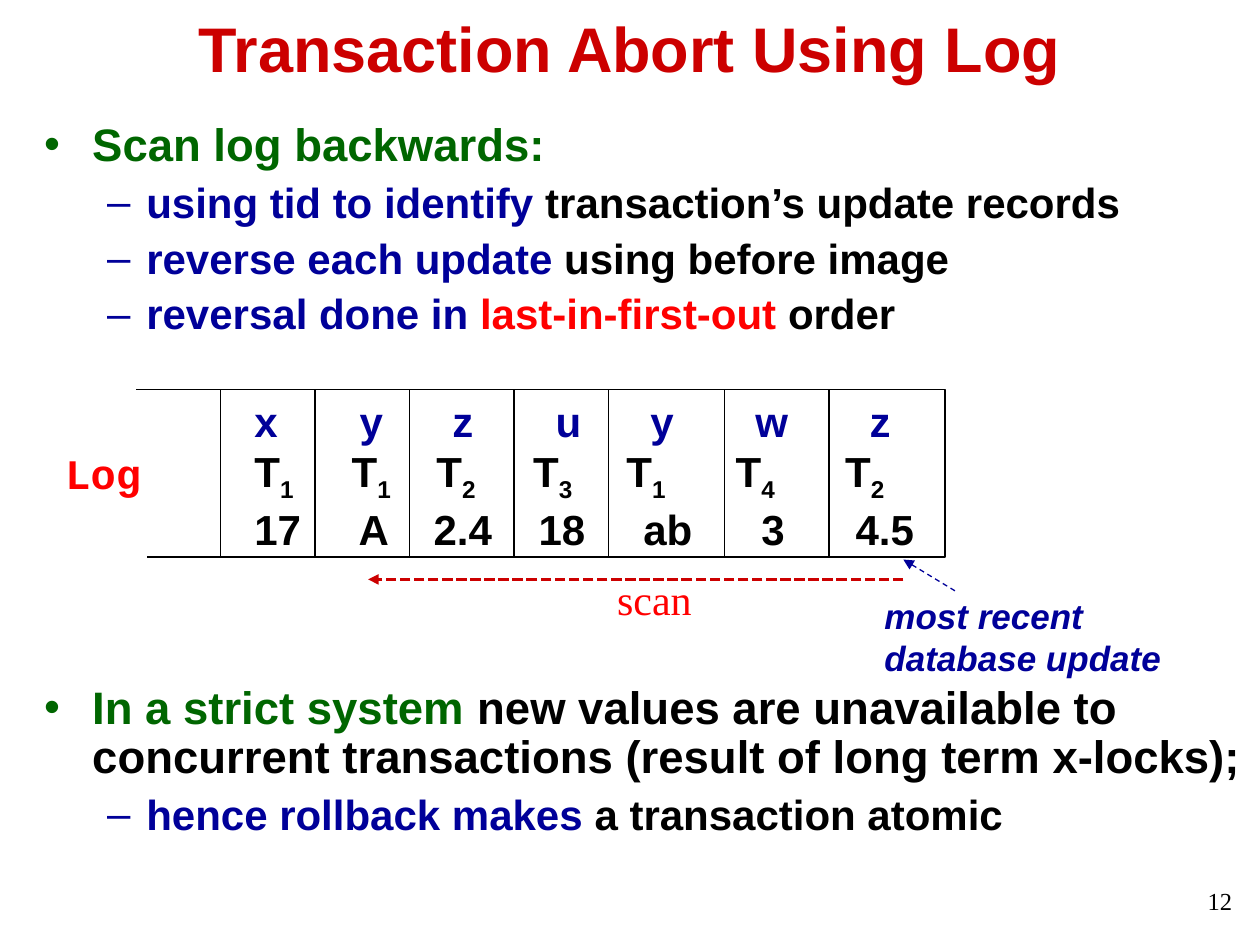
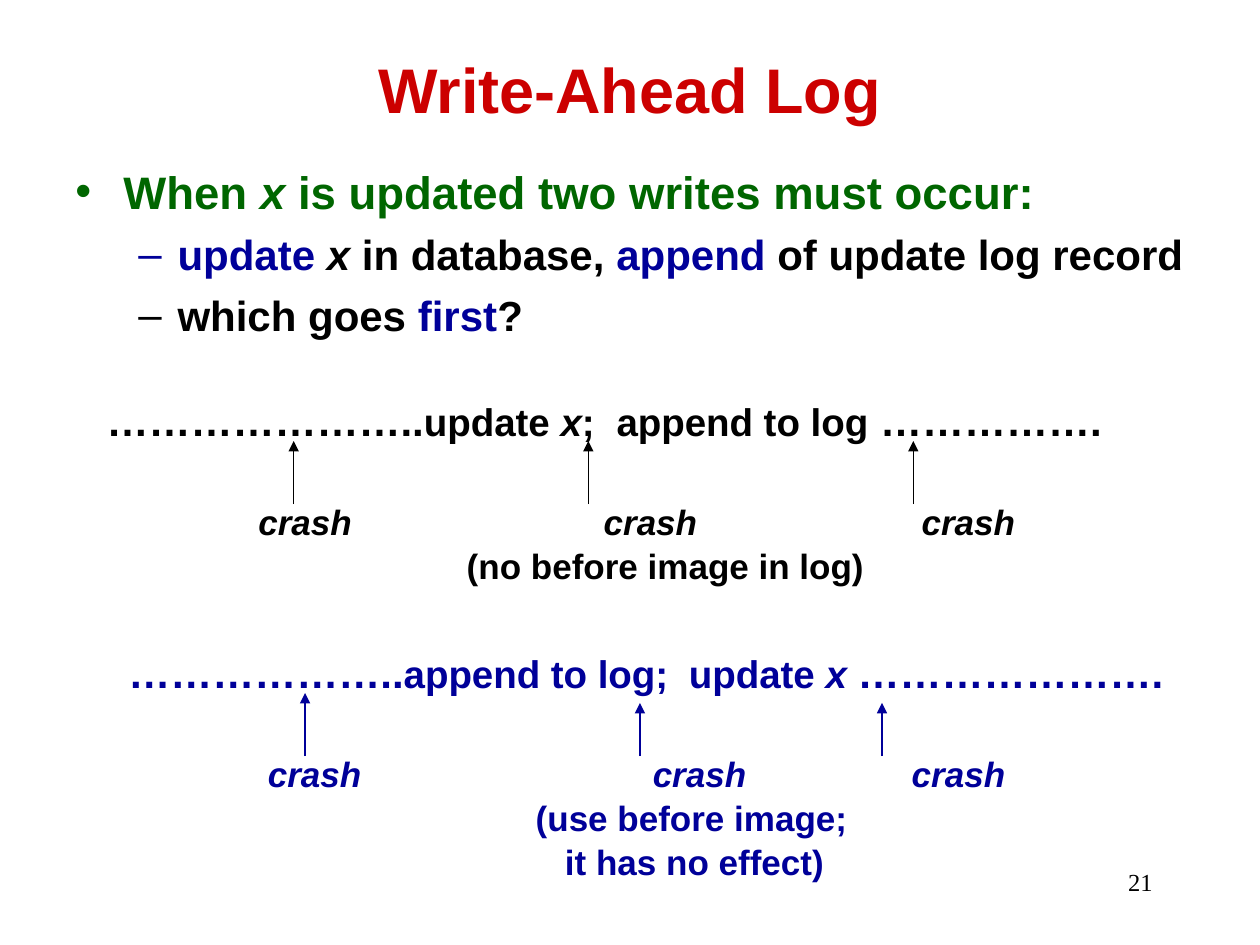
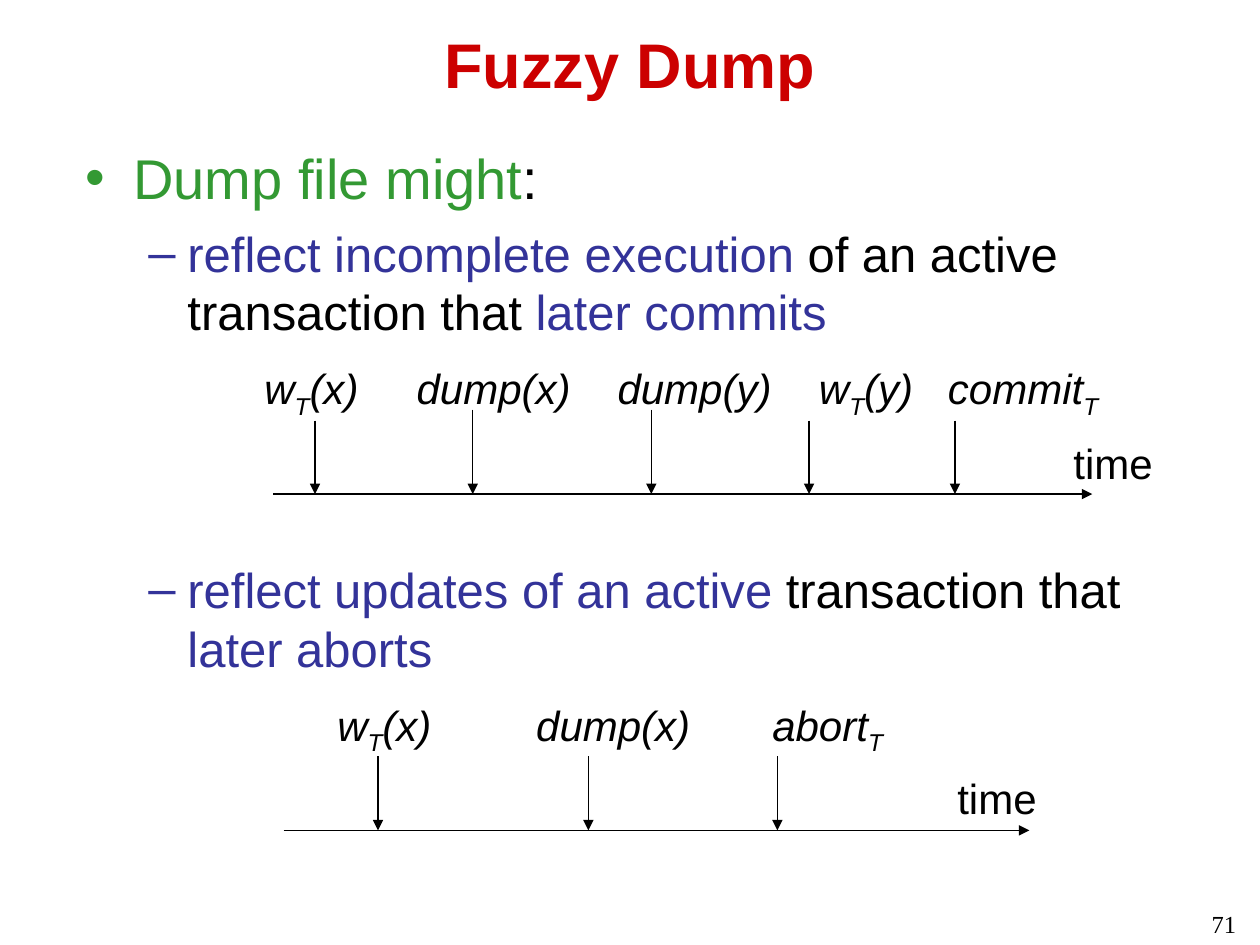
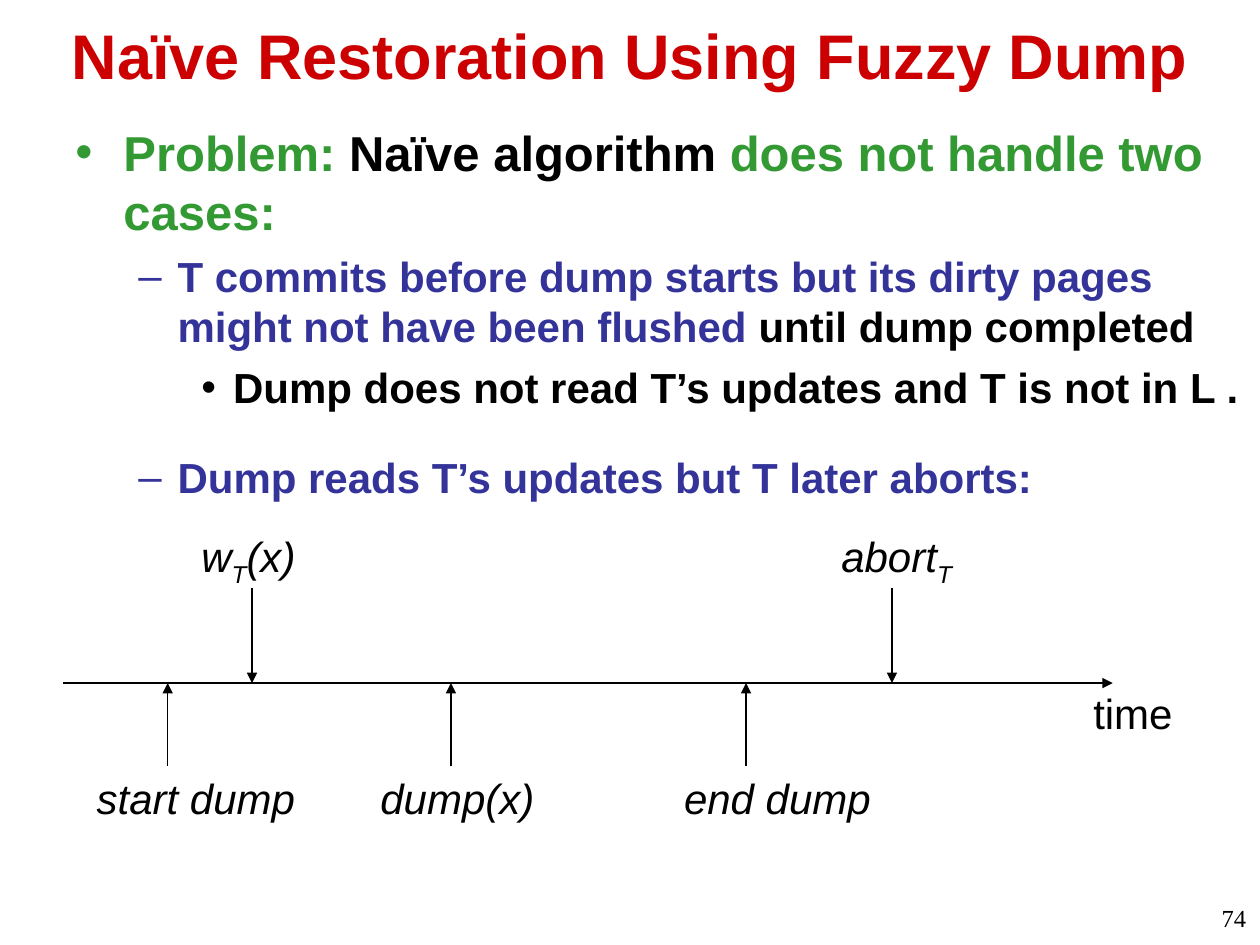
"""Build four slides on logging, aborts and fuzzy dumps."""
from dataclasses import dataclass
from lxml.etree import SubElement as Sub
from pptx import Presentation
from pptx.dml.color import RGBColor as Rgb
from pptx.enum.dml import MSO_LINE as Dash
from pptx.enum.shapes import MSO_CONNECTOR as Conn, MSO_SHAPE as Shape
from pptx.enum.text import MSO_ANCHOR as Anchor, MSO_AUTO_SIZE as Fit, PP_ALIGN as Align
from pptx.oxml.ns import qn
from pptx.util import Cm, Pt


@dataclass(frozen=True)
class Theme:
    sans: str = "Arial"
    serif: str = "Times New Roman"
    mono: str = "Courier New"
    title: str = "CC0000"
    black: str = "000000"
    white: str = "FFFFFF"
    red: str = "FF0000"
    green: str = "006600"
    navy: str = "000099"
    leaf: str = "339933"
    blue: str = "333399"
    head: int = 36
    big: int = 32
    large: int = 28
    lead: int = 26
    base: int = 24
    mid: int = 22
    small: int = 20
    page: int = 14
    thin: float = 0.75
    thick: float = 2


@dataclass
class Par:
    runs: list
    size: float = 24
    style: str = ""
    lvl: int = None
    gap: float = None
    tabs: tuple = ()
    font: str = "Arial"
    align: Align = None
    pitch: float = None


T = Theme()
K, N, G, L, B = T.black, T.navy, T.green, T.leaf, T.blue
BULLETS = [("•", 0.97, 0.97), ("–", 2.06, 0.79), ("•", 3.18, 0.64)]

HEADS = [
    ("Transaction Abort Using Log", (1.9, 0.2, 21.59, 1.5), "12", (19.81, 17.73, 5.28, 1.27)),
    ("Write-Ahead Log", (1.9, 0.2, 21.59, 3.18), "21", (18.21, 17.35, 5.28, 1.27)),
    ("Fuzzy Dump", (1.9, 0.23, 21.59, 2.11), "71", (19.89, 18.21, 5.28, 0.84)),
    ("Naïve Restoration Using Fuzzy Dump", (0, -0.2, 25.4, 2.57), "74", (20.09, 18.08, 5.28, 0.97)),
]

BODIES = [
    ((0.64, 2.34, 24.76, 14.81), [
        Par([("Scan log backwards:", G)], T.lead, "b", 0, pitch=0.9),
        Par([("using tid to identify", N), (" transaction’s update records", K)], T.base, "b", 1, pitch=0.9),
        Par([("reverse each update", N), (" using before image", K)], T.base, "b", 1, pitch=0.9),
        Par([("reversal done in", N), (" last-in-first-out", T.red), (" order", K)], T.base, "b", 1, pitch=0.9),
        Par([("In a strict system", G), (" new values are unavailable to concurrent transactions "
             "(result of long term x-locks);", K)], T.lead, "b", 0, 198, pitch=0.9),
        Par([("hence rollback makes", N), (" a transaction atomic", K)], T.base, "b", 1, pitch=0.9)]),
    ((1.27, 3.18, 23.1, 4.24), [
        Par([("When ", G), ("x", G, "i"), (" is updated two writes must occur:", G)], T.lead, "b", 0),
        Par([("update ", N), ("x ", K, "i"), ("in database, ", K), ("append", N),
             (" of update log record", K)], T.base, "b", 1),
        Par([("which goes", K), (" first", N), ("?", K)], T.base, "b", 1)]),
    ((1.47, 2.77, 22.66, 14.4), [
        Par([("Dump file might", L), (":", K)], T.big, "", 0),
        Par([("reflect incomplete execution", B), (" of an active transaction that ", K),
             ("later commits", B)], T.large, "", 1),
        Par([("reflect updates of an active", B), (" transaction that ", K),
             ("later aborts", B)], T.large, "", 1, 125)]),
    ((1.27, 2.34, 24.13, 8.1), [
        Par([("Problem:", L), (" Naïve algorithm ", K), ("does not handle two cases:", L)], T.large, "b", 0),
        Par([("T commits before dump starts but its dirty pages might not have been flushed", B),
             (" until dump completed", K)], T.base, "b", 1),
        Par([("Dump does not read T’s updates and T is not in L .", K)], T.base, "b", 2),
        Par([("Dump reads T’s updates but T later aborts:", B)], T.base, "b", 1, 22.7)]),
]

LOG = [("x", "1", "17"), ("y", "1", "A"), ("z", "2", "2.4"), ("u", "3", "18"),
       ("y", "1", "ab"), ("w", "4", "3"), ("z", "2", "4.5")]
LOG_BOX = (4.45, 7.85, 14.6, 3.38)
RULES = [6.35, 8.26, 10.36, 12.27, 14.6, 16.71]
LOG_TABS = [(2.12, 3.99, 6.07, 7.98, 10.1, 12.4),
            (1.96, 3.67, 5.62, 7.5, 9.7, 11.91),
            (2.1, 3.61, 5.73, 7.84, 10.22, 12.12)]

ORDERS = [
    (K, (1.9, 7.82, 20.9, 4.14),
     ("…………………..", "update ", "x", ";\tappend to log", "", " ……………."), 10.28,
     (3.06, 10.02, 16.43), [("(no before image in log)", 7.26)],
     [(5.92, 8.89), (11.86, 8.89), (18.41, 8.89)], 10.16),
    (N, (2.34, 12.9, 21.7, 5),
     ("………………..", "append to log;\tupdate ", "x", "", " ", "…………………."), 11.3,
     (2.81, 10.57, 15.79), [("(use before image;", 8.21), ("it has no effect)", 8.8)],
     [(6.15, 13.97), (12.9, 14.17), (17.78, 14.17)], 15.24),
]

W = [("w", K), ("T", K, "s"), ("(x)", K)]
COMMIT, ABORT = [[(word, K), ("T", K, "s")] for word in ("commit", "abort")]
TIMES = [
    ((5.08, 7.19, 17.6, 1.27),
     W + [("\tdump(x)\tdump(y)\tw", K), ("T", K, "s"), ("(y)\t", K)] + COMMIT,
     (3.07, 7.12, 11.18, 13.78), (5.51, 22.02, 9.96),
     [(6.35, 8.48), (9.53, 8.26), (13.13, 8.26), (16.31, 8.48), (19.25, 8.48)], (21.39, 8.69)),
    ((6.55, 13.97, 11.8, 1.27), W + [("\tdump(x)\t", K)] + ABORT,
     (4.01, 8.77), (5.72, 20.75, 16.74),
     [(7.62, 15.24), (11.86, 15.24), (15.67, 15.24)], (19.05, 15.44)),
]

AXIS = (1.27, 22.43, 13.77)
EVENTS = [
    (5.08, 11.86, W, (3.81, 10.57, 2.6)),
    (17.98, 11.86, ABORT, (16.71, 10.57, 2.95)),
    (3.38, 15.44, [("start dump", K)], (1.7, 15.44, 4.65)),
    (9.09, 15.44, [("dump(x)", K)], (7.42, 15.44, 3.75)),
    (15.04, 15.44, [("end dump", K)], (13.54, 15.44, 4.4)),
]


def write(frame, pars):
    frame.word_wrap = True
    frame.auto_size = Fit.NONE
    for n, par in enumerate(pars):
        para = frame.add_paragraph() if n else frame.paragraphs[0]
        if par.align is not None:
            para.alignment = par.align
        if par.pitch:
            para.line_spacing = par.pitch
        gap = par.gap
        if gap is None:
            gap = 0 if par.lvl is None else par.size / 4
        para.space_before = Pt(gap)
        props = para._p.get_or_add_pPr()
        if par.lvl is not None:
            mark, left, hang = BULLETS[par.lvl]
            para.level = par.lvl
            props.set("marL", str(Cm(left)))
            props.set("indent", str(-Cm(hang)))
            Sub(props, qn("a:buFont"), typeface=T.sans)
            Sub(props, qn("a:buChar"), char=mark)
        if par.tabs:
            stops = Sub(props, qn("a:tabLst"))
            for stop in par.tabs:
                Sub(stops, qn("a:tab"), pos=str(Cm(stop)), algn="l")
        for text, ink, *more in par.runs:
            flags = par.style + (more[0] if more else "")
            run = para.add_run()
            run.text = text
            font = run.font
            font.name = par.font
            font.size = Pt(more[1] if len(more) > 1 else par.size)
            font.bold = "b" in flags
            font.italic = "i" in flags
            font.color.rgb = Rgb.from_string(ink)
            if "s" in flags:
                run._r.get_or_add_rPr().set("baseline", "-25000")


def label(slide, box, *pars):
    shape = slide.shapes.add_textbox(*map(Cm, box))
    write(shape.text_frame, pars)


def line(slide, start, end, ink=K, width=T.thin, dash=None, arrow=True):
    conn = slide.shapes.add_connector(Conn.STRAIGHT, *map(Cm, (*start, *end)))
    conn.line.color.rgb = Rgb.from_string(ink)
    conn.line.width = Pt(width)
    if dash:
        conn.line.dash_style = dash
    if arrow:
        Sub(conn.line._get_or_add_ln(), qn("a:tailEnd"), type="triangle")
    Sub(conn._element.spPr, qn("a:effectLst"))


def start(deck, head, body):
    title, box, page, spot = head
    slide = deck.slides.add_slide(deck.slide_layouts[5])
    shape = slide.shapes.title
    shape.left, shape.top, shape.width, shape.height = map(Cm, box)
    shape.text_frame.vertical_anchor = Anchor.MIDDLE
    write(shape.text_frame, [Par([(title, T.title)], T.head, "b", align=Align.CENTER)])
    label(slide, spot, Par([(page, K)], T.page, font=T.serif, align=Align.RIGHT))
    place, pars = body
    label(slide, place, *pars)
    return slide


def draw_log(slide):
    left, top, width, height = LOG_BOX
    low = top + height
    tape = slide.shapes.add_shape(Shape.RECTANGLE, *map(Cm, LOG_BOX))
    tape.shadow.inherit = False
    tape.fill.solid()
    tape.fill.fore_color.rgb = Rgb.from_string(T.white)
    tape.line.color.rgb = Rgb.from_string(K)
    tape.line.width = Pt(T.thin)
    items, tids, vals = zip(*LOG)
    marks = []
    for n, tid in enumerate(tids):
        marks += [("\tT" if n else "T", K), (tid, K, "s")]
    rows = [[("\t".join(items), N)], marks, [("\t".join(vals), K)]]
    label(slide, (4.88, top, 14.3, 3.3),
          *[Par(row, T.base, "b", tabs=tabs) for row, tabs in zip(rows, LOG_TABS)])
    for x in RULES:
        line(slide, (x, top), (x, low), arrow=False)
    for x, y in ((2.74, top), (2.97, low)):
        line(slide, (left, y), (x, y), arrow=False)
    line(slide, (18.21, 11.68), (7.42, 11.68), T.title, T.thick, Dash.SQUARE_DOT)
    line(slide, (19.25, 11.91), (18.21, 11.28), N, dash=Dash.DASH)
    label(slide, (12.19, 11.43, 2.51, 1.27), Par([("scan", T.red)], T.base, font=T.serif))
    label(slide, (1.07, 8.89, 2.54, 1.27), Par([("Log", T.red)], T.base, "b", font=T.mono))
    label(slide, (17.58, 11.86, 6.2, 1.96),
          *[Par([(text, N)], T.small, "bi") for text in ("most recent", "database update")])


def draw_orders(slide):
    for ink, box, parts, stop, crashes, notes, tips, foot in ORDERS:
        sizes = (T.base, T.mid, T.mid, T.mid, T.mid, T.base)
        runs = [(text, ink, "i" if text == "x" else "", size)
                for text, size in zip(parts, sizes) if text]
        label(slide, box,
              Par(runs, T.base, "b", tabs=(stop,)),
              Par([("\tcrash" * len(crashes), ink)], T.small, "bi", gap=32, tabs=crashes),
              *[Par([("\t" + text, ink)], T.small, "b", gap=1, tabs=(at,)) for text, at in notes])
        for x, y in tips:
            line(slide, (x, foot), (x, y), ink)


def clock(slide, axis, spot):
    left, right, y = axis
    line(slide, (left, y), (right, y))
    label(slide, (*spot, 2.25, 1.27), Par([("time", K)]))


def draw_times(slide):
    for box, runs, tabs, axis, ticks, spot in TIMES:
        clock(slide, axis, spot)
        label(slide, box, Par(runs, T.base, "i", tabs=tabs))
        for x, y in ticks:
            line(slide, (x, y), (x, axis[2]))


def draw_dump(slide):
    clock(slide, AXIS, (21.79, 13.74))
    for x, y, runs, (left, top, width) in EVENTS:
        line(slide, (x, y), (x, AXIS[2]))
        label(slide, (left, top, width, 1.27), Par(runs, T.base, "i"))


deck = Presentation()
deck.slide_width, deck.slide_height = Cm(25.4), Cm(19.05)
for head, body, draw in zip(HEADS, BODIES, (draw_log, draw_orders, draw_times, draw_dump)):
    draw(start(deck, head, body))
deck.save("out.pptx")
